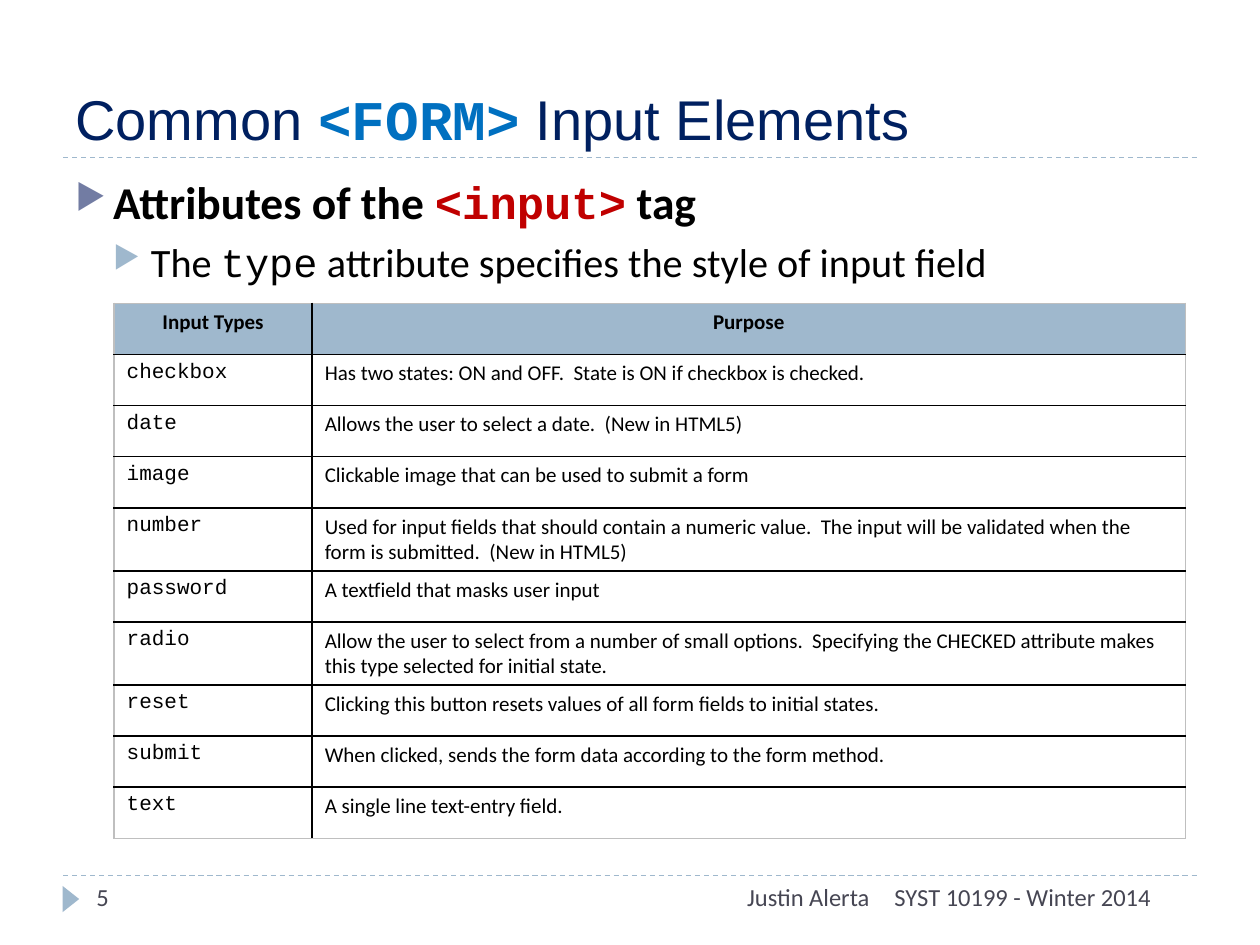
from dataclasses import dataclass

from lxml import etree
from pptx import Presentation
from pptx.dml.color import RGBColor
from pptx.enum.dml import MSO_LINE
from pptx.enum.shapes import MSO_CONNECTOR, MSO_SHAPE
from pptx.enum.text import MSO_ANCHOR, PP_ALIGN
from pptx.oxml.ns import qn
from pptx.util import Pt

LEFT, CENTER, RIGHT = PP_ALIGN.LEFT, PP_ALIGN.CENTER, PP_ALIGN.RIGHT
TOP, BOTTOM = MSO_ANCHOR.TOP, MSO_ANCHOR.BOTTOM
STRAIGHT, TRIANGLE, DASH = MSO_CONNECTOR.STRAIGHT, MSO_SHAPE.ISOSCELES_TRIANGLE, MSO_LINE.DASH


@dataclass(frozen=True)
class Theme:
    sans: str = "Calibri"
    heading: str = "Arial"
    code: str = "Courier New"
    navy: str = "002060"
    blue: str = "0070C0"
    red: str = "C00000"
    black: str = "000000"
    slate: str = "464653"
    accent: str = "9FB8CD"
    bullet: str = "727CA3"
    frame: str = "BFBFBF"
    title_size: float = 32
    point_size: float = 26
    subpoint_size: float = 23
    footer_size: float = 14
    table_size: float = 12


class SlideBuilder:
    def __init__(self, slide, theme):
        self.slide = slide
        self.theme = theme

    def add_runs(self, paragraph, runs, size, bold=False):
        for text, font, color, *weight in runs:
            run = paragraph.add_run()
            run.text = text
            run.font.name = font
            run.font.size = Pt(size)
            run.font.bold = weight[0] if weight else bold
            run.font.color.rgb = RGBColor.from_string(color)

    def text_box(self, left, top, width, height, anchor=TOP):
        shape = self.slide.shapes.add_textbox(Pt(left), Pt(top), Pt(width), Pt(height))
        shape.text_frame.word_wrap = True
        shape.text_frame.vertical_anchor = anchor
        return shape.text_frame

    def line_of_text(self, box, runs, size, align=LEFT, anchor=TOP):
        paragraph = self.text_box(*box, anchor).paragraphs[0]
        paragraph.alignment = align
        self.add_runs(paragraph, runs, size)

    def bullet_list(self, box, items):
        text_frame = self.text_box(*box)
        for index, (runs, size, bold, color, space) in enumerate(items):
            paragraph = text_frame.add_paragraph() if index else text_frame.paragraphs[0]
            paragraph.level = index
            paragraph.space_before = Pt(space)
            self.add_runs(paragraph, runs, size, bold)
            properties = paragraph._p.get_or_add_pPr()
            properties.set("marL", str(Pt(21.6 * (index + 1))))
            properties.set("indent", str(-Pt(21.6)))
            bullet_color = etree.SubElement(properties, qn("a:buClr"))
            etree.SubElement(bullet_color, qn("a:srgbClr"), val=color)
            etree.SubElement(properties, qn("a:buSzPct"), val="76000")
            etree.SubElement(properties, qn("a:buChar"), char="▶")

    def dashed_rule(self, y):
        rule = self.slide.shapes.add_connector(STRAIGHT, Pt(36), Pt(y), Pt(684), Pt(y))
        rule.line.color.rgb = RGBColor.from_string(self.theme.accent)
        rule.line.width = Pt(0.75)
        rule.line.dash_style = DASH
        etree.SubElement(rule._element.spPr, qn("a:effectLst"))

    def marker(self, left, top, width, height):
        shape = self.slide.shapes.add_shape(TRIANGLE, Pt(left), Pt(top), Pt(width), Pt(height))
        shape.rotation = 90
        shape.shadow.inherit = False
        shape.fill.solid()
        shape.fill.fore_color.rgb = RGBColor.from_string(self.theme.accent)
        shape.line.fill.background()

    def border(self, cell, side, color):
        line = etree.SubElement(cell._tc.get_or_add_tcPr(), qn(f"a:ln{side}"), w=str(Pt(1)))
        fill = etree.SubElement(line, qn("a:solidFill"))
        etree.SubElement(fill, qn("a:srgbClr"), val=color)

    def table(self, left, top, widths, row_height, rows):
        theme = self.theme
        table = self.slide.shapes.add_table(
            len(rows), len(widths), Pt(left), Pt(top),
            Pt(sum(widths)), Pt(row_height * len(rows))).table
        table.first_row = table.horz_banding = False
        for column, width in zip(table.columns, widths):
            column.width = Pt(width)
        last_row, last_column = len(rows) - 1, len(widths) - 1
        for r, row in enumerate(rows):
            table.rows[r].height = Pt(row_height)
            for c, text in enumerate(row):
                cell = table.cell(r, c)
                outer = {"L": c == 0, "R": c == last_column, "T": r == 0, "B": r == last_row}
                for side, is_outer in outer.items():
                    self.border(cell, side, theme.frame if is_outer else theme.black)
                header = r == 0
                if header:
                    cell.fill.solid()
                    cell.fill.fore_color.rgb = RGBColor.from_string(theme.accent)
                else:
                    cell.fill.background()
                paragraph = cell.text_frame.paragraphs[0]
                paragraph.alignment = CENTER if header else LEFT
                font = theme.code if c == 0 and not header else theme.sans
                self.add_runs(paragraph, [(text, font, theme.black)], theme.table_size, header)


INPUT_TYPES = [
    ("Input Types", "Purpose"),
    ("checkbox", "Has two states: ON and OFF.  State is ON if checkbox is checked."),
    ("date", "Allows the user to select a date.  (New in HTML5)"),
    ("image", "Clickable image that can be used to submit a form"),
    ("number", "Used for input fields that should contain a numeric value.  "
               "The input will be validated when the form is submitted.  (New in HTML5)"),
    ("password", "A textfield that masks user input"),
    ("radio", "Allow the user to select from a number of small options.  "
              "Specifying the CHECKED attribute makes this type selected for initial state."),
    ("reset", "Clicking this button resets values of all form fields to initial states."),
    ("submit", "When clicked, sends the form data according to the form method."),
    ("text", "A single line text-entry field."),
]

theme = Theme()
presentation = Presentation()
presentation.slide_width, presentation.slide_height = Pt(720), Pt(540)
builder = SlideBuilder(presentation.slides.add_slide(presentation.slide_layouts[6]), theme)

for y in (500.4, 90):
    builder.dashed_rule(y)
builder.marker(33, 509, 15, 9.5)

builder.line_of_text((36, 12, 648, 78), [
    ("Common ", theme.heading, theme.navy),
    ("<FORM>", theme.code, theme.blue, True),
    (" Input Elements", theme.heading, theme.navy),
], theme.title_size, anchor=BOTTOM)

for left, width, text, align in (
    (504, 180, "SYST 10199 - Winter 2014", LEFT),
    (228, 276, "Justin Alerta", RIGHT),
    (48, 156, "5", LEFT),
):
    builder.line_of_text((left, 500.4, width, 28.8), [(text, theme.sans, theme.slate)],
                         theme.footer_size, align)

builder.bullet_list((36, 96, 648, 388.8), [
    ([("Attributes of the ", theme.sans, theme.black),
      ("<input>", theme.code, theme.red),
      (" tag", theme.sans, theme.black)], theme.point_size, True, theme.bullet, 6),
    ([("The ", theme.sans, theme.black),
      ("type", theme.code, theme.black),
      (" attribute specifies the style of input field", theme.sans, theme.black)],
     theme.subpoint_size, False, theme.accent, 5),
])

builder.table(65.2, 173.4, (113.2, 499), 29.2, INPUT_TYPES)

presentation.save("out.pptx")
